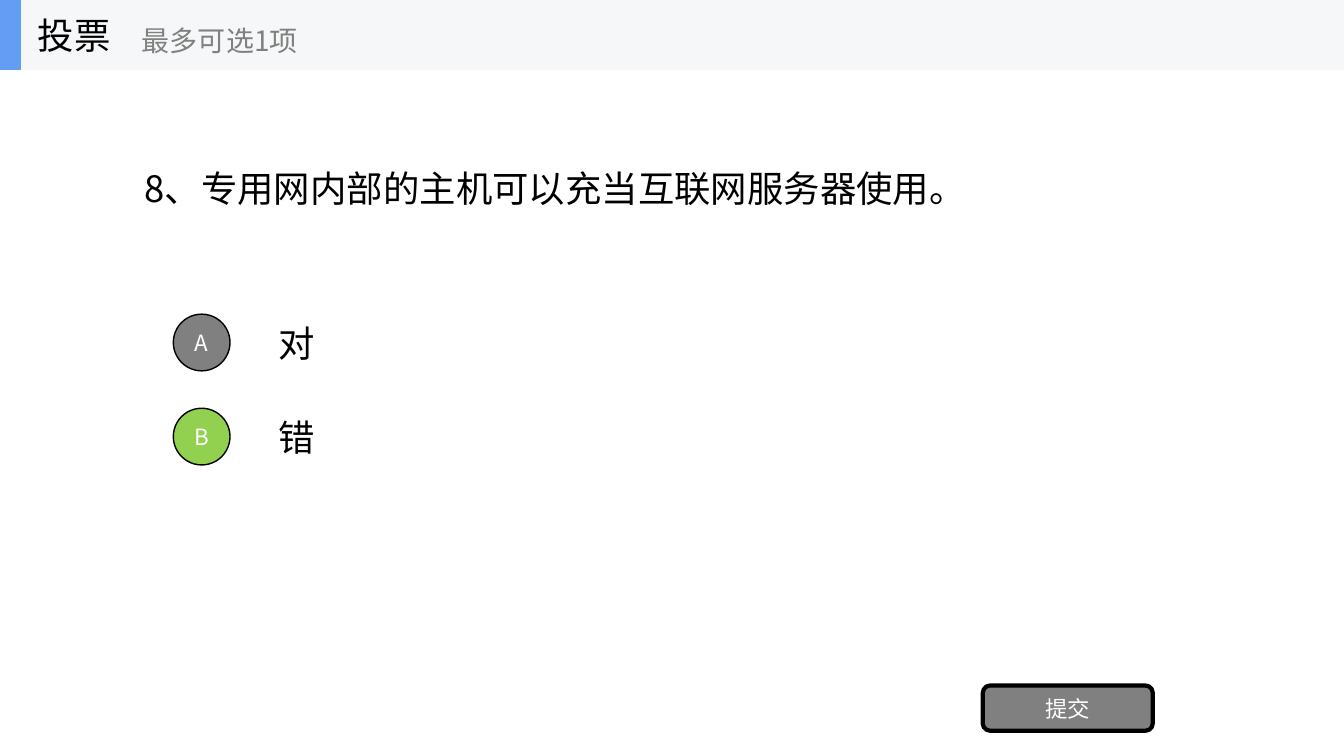
import pptx
import pptx.util
import pptx.dml.color
import pptx.enum.shapes
import pptx.enum.text
import pptx.oxml.ns
import lxml.etree

Pt = pptx.util.Pt
SHAPES = pptx.enum.shapes.MSO_SHAPE
ALIGN = pptx.enum.text.PP_ALIGN
FONT = "Noto Sans CJK SC"


def write(target, text, size=26, color="000000", align=ALIGN.LEFT, wrap=True):
    frame = target.text_frame
    frame.word_wrap = wrap
    frame.auto_size = pptx.enum.text.MSO_AUTO_SIZE.NONE
    frame.vertical_anchor = pptx.enum.text.MSO_ANCHOR.MIDDLE
    paragraph = frame.paragraphs[0]
    paragraph.alignment = align
    run = paragraph.add_run()
    run.text = text
    run.font.size = Pt(size)
    run.font.name = FONT
    run.font.color.rgb = pptx.dml.color.RGBColor.from_string(color)
    east_asian = lxml.etree.SubElement(run.font._element, pptx.oxml.ns.qn("a:ea"))
    east_asian.set("typeface", FONT)


def draw(parent, kind, left, top, width, height, fill, line=0):
    shape = parent.add_shape(kind, Pt(left), Pt(top), Pt(width), Pt(height))
    shape.shadow.inherit = False
    shape.fill.solid()
    shape.fill.fore_color.rgb = pptx.dml.color.RGBColor.from_string(fill)
    if line:
        shape.line.width = Pt(line)
        shape.line.color.rgb = pptx.dml.color.RGBColor.from_string("000000")
    else:
        shape.line.fill.background()
    return shape


deck = pptx.Presentation()
deck.slide_width, deck.slide_height = Pt(960), Pt(540)
slide = deck.slides.add_slide(deck.slide_layouts[5])

question = slide.shapes.title
question.left, question.top = Pt(96), Pt(50)
question.width, question.height = Pt(768), Pt(168)
write(question, "8、专用网内部的主机可以充当互联网服务器使用。")

choices = [("A", "对", "808080"), ("B", "错", "92D050")]
for row, (letter, answer, fill) in enumerate(choices):
    top = 219.5 + row * 67.2
    choice = slide.shapes.add_textbox(Pt(192), Pt(top), Pt(672), Pt(50.4))
    write(choice, answer)
    badge = draw(slide.shapes, SHAPES.OVAL, 123.8, top + 4.9, 40.5, 40.5, fill, line=1)
    # LETTER
    write(badge, letter, size=16, color="FFFFFF", align=ALIGN.CENTER, wrap=False)

submit = draw(slide.shapes, SHAPES.ROUNDED_RECTANGLE, 702, 489.6, 121.5, 32.4, "808080", line=3)
write(submit, "提交", size=16, color="FFFFFF", align=ALIGN.CENTER)

header = slide.shapes.add_group_shape().shapes
draw(header, SHAPES.RECTANGLE, 0, 0, 960, 50, "F6F7F8")
draw(header, SHAPES.RECTANGLE, 0, 0, 15, 50, "639EF4")
heading = header.add_textbox(Pt(20), Pt(0), Pt(150), Pt(50))
write(heading, "投票", wrap=False)
limit = header.add_textbox(Pt(94.3), Pt(8.6), Pt(180), Pt(40.3))
write(limit, "最多可选1项", size=20, color="808080", wrap=False)

deck.save("out.pptx")
